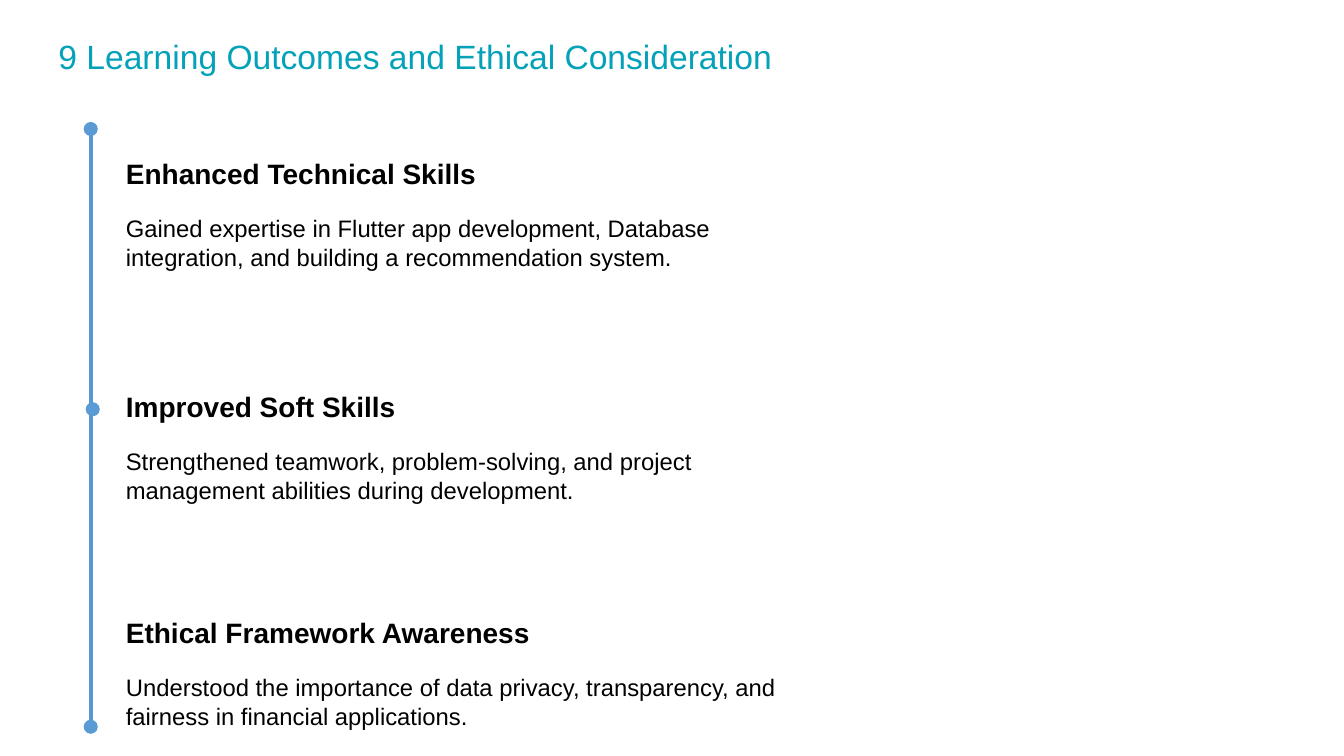
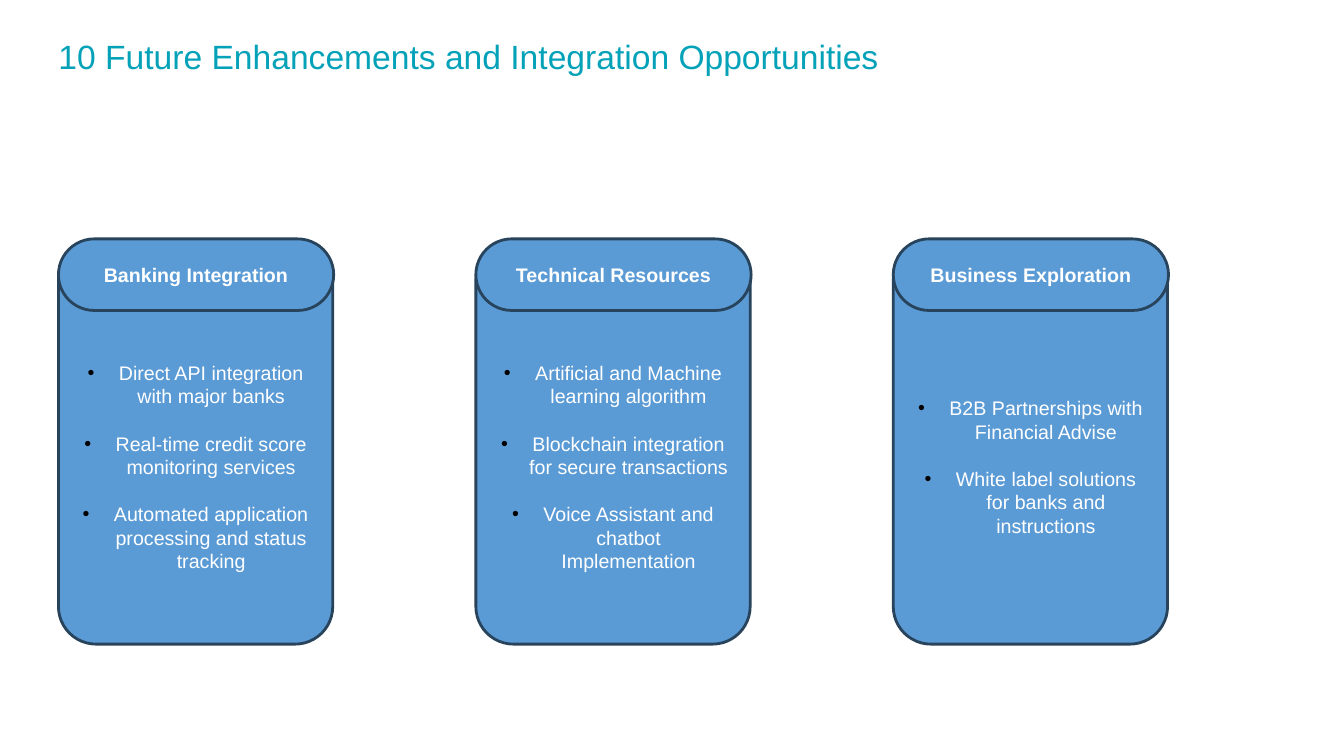
from lxml.etree import SubElement
from pptx import Presentation
from pptx.dml.color import RGBColor
from pptx.enum.shapes import MSO_CONNECTOR, MSO_SHAPE
from pptx.enum.text import MSO_ANCHOR, PP_ALIGN
from pptx.oxml.ns import qn
from pptx.util import Inches, Pt

FONT = "Arial"
COLORS = {
    "title": "04A2B9",
    "timeline": "5698D3",
    "fill": "5B9BD5",
    "outline": "28445D",
    "dark": "000000",
    "light": "FFFFFF",
}
BLANK_LINE = 16.8  # points, one line of 14 pt text

OUTCOMES = [
    (1.45, 7.06, 1.34, "Enhanced Technical Skills",
     "Gained expertise in Flutter app development, Database integration, "
     "and building a recommendation system."),
    (3.83, 6.94, 1.21, "Improved Soft Skills",
     "Strengthened teamwork, problem-solving, and project management "
     "abilities during development."),
    (6.07, 6.94, 1.21, "Ethical Framework Awareness",
     "Understood the importance of data privacy, transparency, and fairness "
     "in financial applications."),
]
ENHANCEMENTS = [
    ("Banking Integration", [
        "Direct API integration with major banks",
        "Real-time credit score monitoring services",
        "Automated application processing and status tracking",
    ]),
    ("Technical Resources", [
        "Artificial and Machine learning algorithm",
        "Blockchain integration for secure transactions",
        "Voice Assistant and chatbot Implementation",
    ]),
    ("Business Exploration", [
        "B2B Partnerships with Financial Advise",
        "White label solutions for banks and instructions",
    ]),
]


def rgb(name):
    return RGBColor.from_string(COLORS[name])


def write(frame, text, size=14, color="dark", bold=False,
          align=PP_ALIGN.LEFT, before=0, bullet=False):
    """Fill the first paragraph of the frame, or append one if it has text."""
    paragraph = frame.add_paragraph() if frame.text else frame.paragraphs[0]
    paragraph.alignment = align
    paragraph.space_before = Pt(before)
    if bullet:
        add_bullet(paragraph)
    run = paragraph.add_run()
    run.text = text
    run.font.name = FONT
    run.font.size = Pt(size)
    run.font.bold = bold
    run.font.color.rgb = rgb(color)


def add_bullet(paragraph):
    properties = paragraph._p.get_or_add_pPr()
    indent = Inches(0.31)
    properties.set("marL", str(indent))
    properties.set("indent", str(-indent))
    bullet_color = SubElement(properties, qn("a:buClr"))
    SubElement(bullet_color, qn("a:srgbClr"), val=COLORS["dark"])
    SubElement(properties, qn("a:buFont"), typeface=FONT)
    SubElement(properties, qn("a:buChar"), char="•")


class Deck:
    """Holds the presentation, its style and the slide being built."""

    def __init__(self):
        self.presentation = Presentation()
        self.presentation.slide_width = Inches(13.33)
        self.presentation.slide_height = Inches(7.5)
        self.slide = None

    def new_slide(self, title):
        blank = self.presentation.slide_layouts[6]
        self.slide = self.presentation.slides.add_slide(blank)
        frame = self.text_frame(0.58, 0.34, 9.24, 0.42)
        frame.margin_left = frame.margin_right = frame.margin_bottom = 0
        frame.margin_top = Inches(0.01)
        write(frame, title, size=24, color="title")

    def text_frame(self, left, top, width, height):
        box = self.slide.shapes.add_textbox(
            Inches(left), Inches(top), Inches(width), Inches(height))
        frame = box.text_frame
        frame.word_wrap = True
        frame.vertical_anchor = MSO_ANCHOR.MIDDLE
        return frame

    def timeline(self, x, top, bottom):
        line = self.slide.shapes.add_connector(
            MSO_CONNECTOR.STRAIGHT,
            Inches(x), Inches(top), Inches(x), Inches(bottom))
        line.line.color.rgb = rgb("timeline")
        line.line.width = Pt(3)
        SubElement(line._element.spPr, qn("a:effectLst"))

    def dot(self, x, y, size=0.14):
        """Draw a round marker centred on the point."""
        marker = self.slide.shapes.add_shape(
            MSO_SHAPE.OVAL, Inches(x - size / 2), Inches(y - size / 2),
            Inches(size), Inches(size))
        marker.shadow.inherit = False
        marker.fill.solid()
        marker.fill.fore_color.rgb = rgb("fill")
        marker.line.fill.background()

    def outcome(self, top, width, height, heading, detail):
        frame = self.text_frame(1.15, top, width, height)
        write(frame, heading, size=20, bold=True)
        write(frame, detail, size=17, before=BLANK_LINE)

    def panel(self, group, left, top, width, height, rounding):
        panel = group.shapes.add_shape(
            MSO_SHAPE.ROUNDED_RECTANGLE, Inches(left), Inches(top),
            Inches(width), Inches(height))
        panel.adjustments[0] = rounding
        panel.shadow.inherit = False
        panel.fill.solid()
        panel.fill.fore_color.rgb = rgb("fill")
        panel.line.color.rgb = rgb("outline")
        panel.line.width = Pt(2)
        frame = panel.text_frame
        frame.word_wrap = True
        frame.vertical_anchor = MSO_ANCHOR.MIDDLE
        return frame

    def card(self, left, heading, points):
        group = self.slide.shapes.add_group_shape()
        body = self.panel(group, left, 2.4, 2.72, 3.99, 0.137)
        body.margin_top = Inches(0.52)
        for index, point in enumerate(points):
            write(body, point, color="light", align=PP_ALIGN.CENTER,
                  before=BLANK_LINE if index else 0, bullet=True)
        header = self.panel(group, left, 2.37, 2.73, 0.71, 0.5)
        write(header, heading, color="light", bold=True,
              align=PP_ALIGN.CENTER)


def main():
    deck = Deck()

    deck.new_slide("9 Learning Outcomes and Ethical Consideration")
    deck.timeline(0.9, 1.28, 7.21)
    for x, y in [(0.9, 1.28), (0.9, 7.21), (0.92, 4.06)]:
        deck.dot(x, y)
    for outcome in OUTCOMES:
        deck.outcome(*outcome)

    deck.new_slide("10 Future Enhancements and Integration Opportunities")
    for column, (heading, points) in enumerate(ENHANCEMENTS):
        deck.card(0.58 + 4.14 * column, heading, points)

    deck.presentation.save("out.pptx")


if __name__ == "__main__":
    main()
